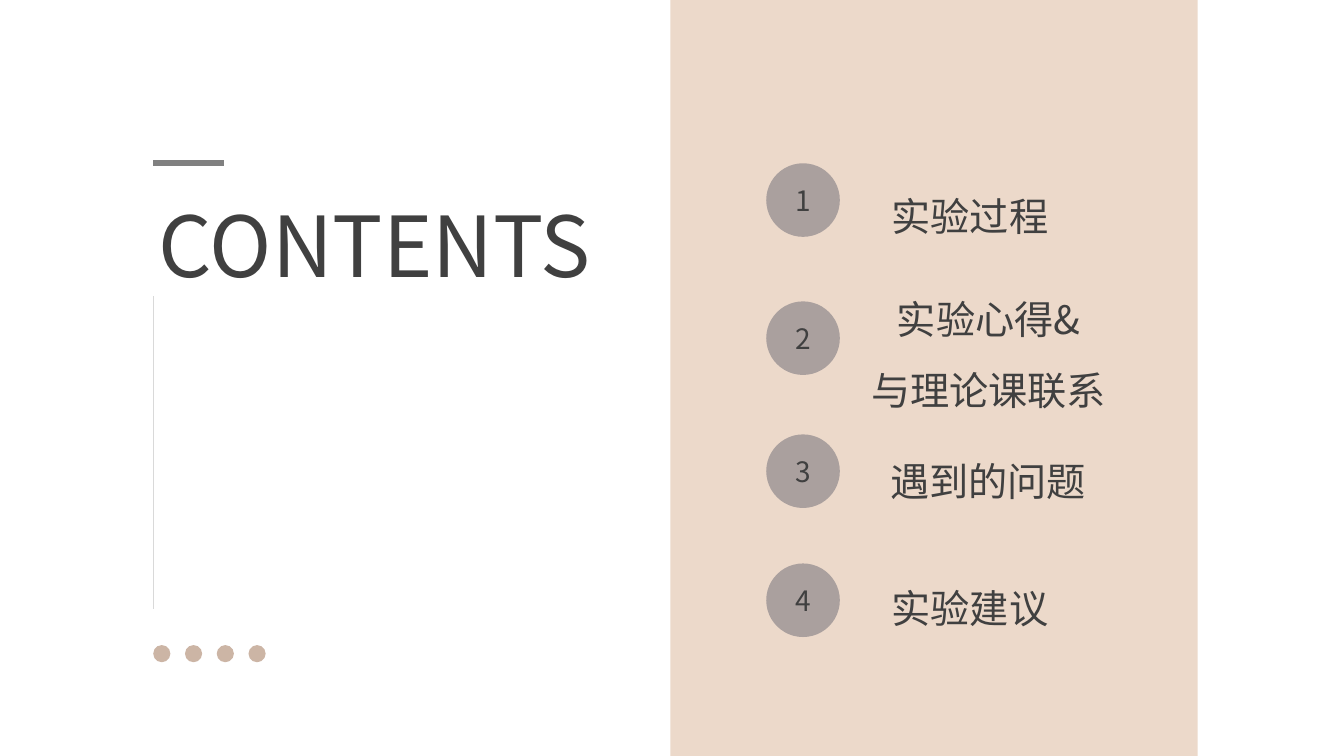
from lxml import etree
from pptx import Presentation
from pptx.dml.color import RGBColor
from pptx.enum.shapes import MSO_CONNECTOR, MSO_SHAPE
from pptx.enum.text import MSO_ANCHOR, MSO_AUTO_SIZE, PP_ALIGN
from pptx.oxml.ns import qn
from pptx.util import Inches, Pt

RECT, OVAL = MSO_SHAPE.RECTANGLE, MSO_SHAPE.OVAL
STRAIGHT = MSO_CONNECTOR.STRAIGHT
CENTER, MIDDLE = PP_ALIGN.CENTER, MSO_ANCHOR.MIDDLE
FIT_SHAPE = MSO_AUTO_SIZE.SHAPE_TO_FIT_TEXT

FONT = "Noto Sans CJK SC"
COLORS = {"panel": "ECD9CA", "text": "404040", "rule": "D9D9D9",
          "accent": "808080", "dot": "CCB5A5", "badge": "AAA09E"}

# Badge top, label box (left, top, width, height), label lines
ITEMS = [
    (1.62, (8.31, 1.63, 2.62, 0.72), ["实验过程"]),
    (2.99, (8.22, 2.65, 3.17, 1.43), ["实验心得&", "与理论课联系"]),
    (4.31, (8.49, 4.25, 2.62, 0.72), ["遇到的问题"]),
    (5.59, (8.31, 5.51, 2.62, 0.72), ["实验建议"]),
]


def rgb(name):
    return RGBColor.from_string(COLORS[name])


def add_filled(shapes, kind, box, color):
    sp = shapes.add_shape(kind, *map(Inches, box))
    sp.shadow.inherit = False
    sp.fill.solid()
    sp.fill.fore_color.rgb = rgb(color)
    sp.line.fill.background()
    return sp


def add_rule(shapes, start, end, color, weight):
    line = shapes.add_connector(STRAIGHT, *map(Inches, start + end))
    line.line.color.rgb = rgb(color)
    line.line.width = Pt(weight)
    etree.SubElement(line._element.spPr, qn("a:effectLst"))


def write(tf, lines, size, spacing=None):
    for i, text in enumerate(lines):
        p = tf.add_paragraph() if i else tf.paragraphs[0]
        p.alignment = CENTER
        p.line_spacing = spacing
        r = p.add_run()
        r.text = text
        r.font.size = Pt(size)
        r.font.name = FONT
        r.font.color.rgb = rgb("text")
        # East Asian typeface for the Chinese characters
        etree.SubElement(r.font._element, qn("a:ea"), typeface=FONT)


def add_text(shapes, box, lines, size, spacing=None):
    tf = shapes.add_textbox(*map(Inches, box)).text_frame
    tf.word_wrap = True
    tf.auto_size = FIT_SHAPE
    write(tf, lines, size, spacing)


def add_title_region(s, left, top, width, height):
    # Title between the accent bar and the thin vertical rule
    add_text(s.shapes, (left - 0.31, top + 0.25, width, 1.11), ["CONTENTS"], 60)
    add_rule(s.shapes, (left, top + 1.32), (left, top + 4.42), "rule", 0.25)
    add_rule(s.shapes, (left, top), (left + 0.7, top), "accent", 4.5)
    # Row of dots along the bottom
    size, pitch = 0.17, 0.315
    dots = s.shapes.add_group_shape()
    for i in range(4):
        box = (left + i * pitch, top + height - size, size, size)
        add_filled(dots.shapes, OVAL, box, "dot")


def add_agenda_panel(s, left, top, width, height):
    add_filled(s.shapes, RECT, (left, top, width, height), "panel")
    for number, (badge_top, label_box, lines) in enumerate(ITEMS, 1):
        item = s.shapes.add_group_shape()
        # Numbered badge
        box = (left + 0.95, top + badge_top, 0.73, 0.73)
        badge = add_filled(item.shapes, OVAL, box, "badge")
        badge.text_frame.vertical_anchor = MIDDLE
        write(badge.text_frame, [str(number)], 20)
        # Label
        x, y, w, h = label_box
        add_text(item.shapes, (x, top + y, w, h), lines, 28, 1.5)


prs = Presentation()
prs.slide_width, prs.slide_height = Inches(13.33), Inches(7.5)
s = prs.slides.add_slide(prs.slide_layouts[6])
add_agenda_panel(s, 6.65, 0, 5.23, 7.5)
add_title_region(s, 1.52, 1.62, 5.01, 4.95)
prs.save("out.pptx")
